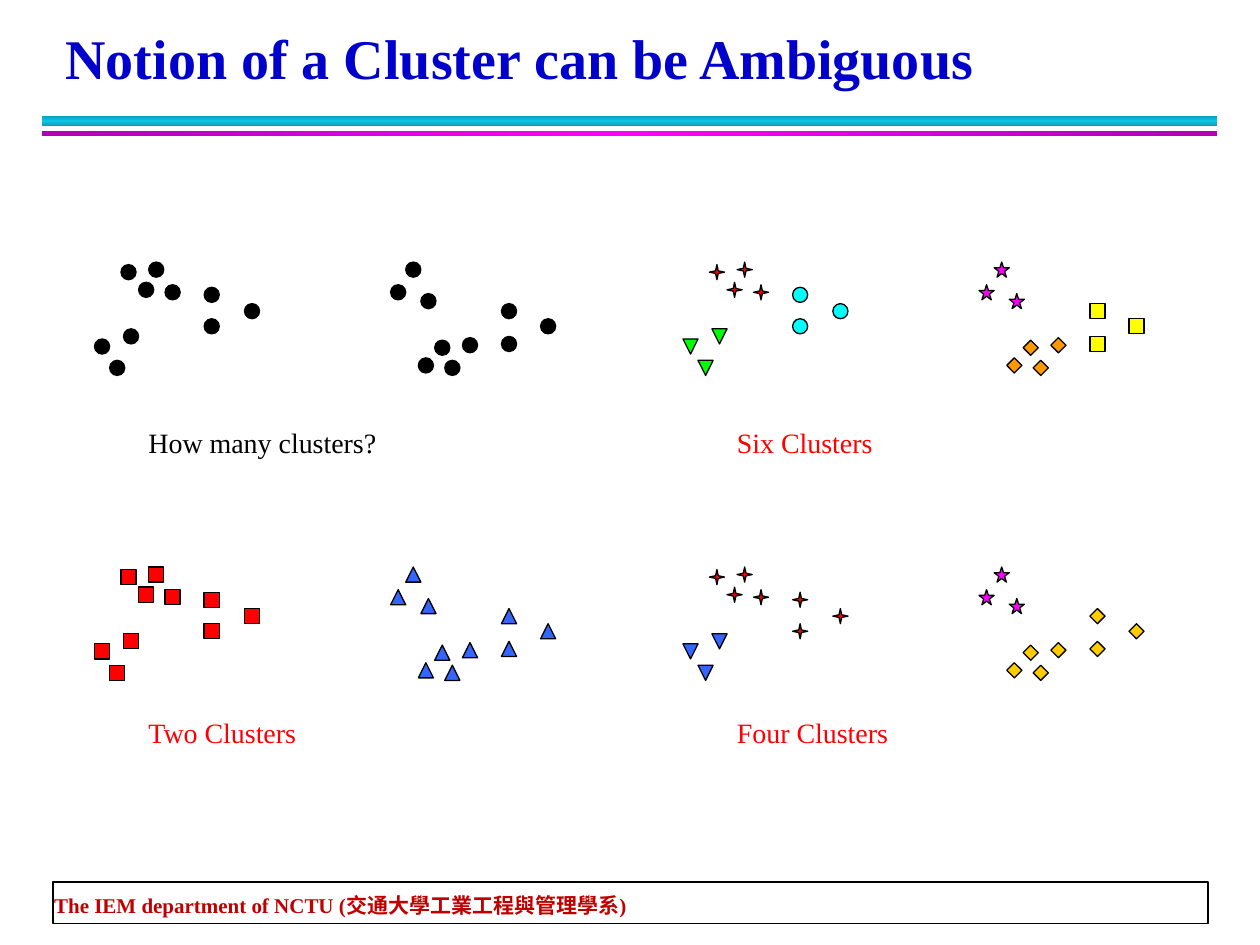
import copy
import dataclasses

import pptx
import pptx.dml.color
import pptx.enum.shapes
import pptx.enum.text
import pptx.oxml.ns
import pptx.util

Inches = pptx.util.Inches
Pt = pptx.util.Pt
SHAPE = pptx.enum.shapes.MSO_SHAPE
ANCHOR = pptx.enum.text.MSO_ANCHOR
AUTO_SIZE = pptx.enum.text.MSO_AUTO_SIZE


def rgb(code):
    return pptx.dml.color.RGBColor.from_string(code)


@dataclasses.dataclass(frozen=True)
class Theme:
    font: str = "Times New Roman"
    title_size: int = 32
    label_size: int = 16
    footer_size: int = 12
    outline: float = 0.75
    frame: float = 1
    title: str = "0000CC"
    footer: str = "C00000"
    black: str = "000000"
    white: str = "FFFFFF"
    red: str = "FF0000"
    blue: str = "3366FF"
    green: str = "00FF00"
    cyan: str = "00FFFF"
    magenta: str = "FF00FF"
    yellow: str = "FFFF00"
    orange: str = "FF9900"
    gold: str = "FFCC00"
    teal_band: tuple = ("0E9BBA", "12C2E9", "0E9BBA")
    purple_band: tuple = ("B200B2", "FF00FF", "B200B2")


@dataclasses.dataclass
class SlideBuilder:
    theme: Theme
    page: object

    def paint(self, shape, fill, width):
        shape.shadow.inherit = False
        shape.fill.solid()
        shape.fill.fore_color.rgb = rgb(fill)
        shape.line.color.rgb = rgb(self.theme.black)
        shape.line.width = Pt(width)

    def shape(self, kind, at, fill, width):
        shape = self.page.shapes.add_shape(kind, *map(Inches, at))
        self.paint(shape, fill, width)
        return shape

    def band(self, at, colors, angle):
        """Draw a borderless bar with a three-stop gradient."""
        bar = self.page.shapes.add_shape(SHAPE.RECTANGLE, *map(Inches, at))
        bar.shadow.inherit = False
        bar.line.fill.background()
        bar.fill.gradient()
        bar.fill.gradient_angle = angle
        stop_list = bar._element.spPr.find(".//" + pptx.oxml.ns.qn("a:gsLst"))
        stop_list.append(copy.deepcopy(stop_list[0]))
        for stop, position, color in zip(bar.fill.gradient_stops, (0, 0.5, 1), colors):
            stop.position = position
            stop.color.rgb = rgb(color)

    def polygon(self, corners, at, fill):
        """Draw a closed outline whose corners are fractions of its box."""
        left, top, width, height = at
        points = [(Inches(left + x * width), Inches(top + y * height)) for x, y in corners]
        builder = self.page.shapes.build_freeform(*points[0])
        builder.add_line_segments(points[1:], close=True)
        self.paint(builder.convert_to_shape(), fill, self.theme.outline)

    def marker(self, form, at, fill):
        if form in OUTLINES:
            self.polygon(OUTLINES[form], at, fill)
            return
        kind, rotation = PRESETS[form]
        self.shape(kind, at, fill, self.theme.outline).rotation = rotation

    def fill_text(self, box, text, size, color, bold=False, spacing=None, **frame_format):
        frame = box.text_frame
        values = {"word_wrap": True, "auto_size": AUTO_SIZE.NONE} | frame_format
        for name, value in values.items():
            setattr(frame, name, value)
        para = frame.paragraphs[0]
        para.alignment = pptx.enum.text.PP_ALIGN.LEFT
        if spacing:
            para.line_spacing = Pt(spacing)
        span = para.add_run()
        span.text = text
        for name, value in {"name": self.theme.font, "size": Pt(size), "bold": bold}.items():
            setattr(span.font, name, value)
        span.font.color.rgb = rgb(color)

    def text(self, at, *content, **formats):
        self.fill_text(self.page.shapes.add_textbox(*map(Inches, at)), *content, **formats)

    def title(self, at, text):
        box = self.page.shapes.title
        for name, value in zip(("left", "top", "width", "height"), at):
            setattr(box, name, Inches(value))
        self.fill_text(box, text, self.theme.title_size, self.theme.title, bold=True,
                       spacing=36, vertical_anchor=ANCHOR.BOTTOM)

    def panel(self, left, top, label, color, styles):
        """Draw the six point sets, each with its (form, fill), and a label below."""
        for points, (form, fill) in zip(POINT_SETS, styles):
            for x, y in points:
                self.marker(form, (left + x, top + y, MARKER, MARKER), fill)
        self.text((left + 1.08, LABEL_TOPS[top], 2.5, 0.37), label,
                  self.theme.label_size, color)


MARKER = 0.12
PANEL_LEFTS = (0, 4.67)
PANEL_TOPS = (2.08, 4.5)
LABEL_TOPS = dict(zip(PANEL_TOPS, (3.33, 5.63)))

PRESETS = {
    "circle": (SHAPE.OVAL, 0),
    "square": (SHAPE.RECTANGLE, 0),
    "diamond": (SHAPE.DIAMOND, 0),
    "triangle": (SHAPE.ISOSCELES_TRIANGLE, 0),
    "triangle down": (SHAPE.ISOSCELES_TRIANGLE, 180),
    "extract down": (SHAPE.FLOWCHART_EXTRACT, 180),
}
OUTLINES = {
    "four-point star": [(0, 0.5), (0.41, 0.59), (0.5, 1), (0.59, 0.59),
                        (1, 0.5), (0.59, 0.41), (0.5, 0), (0.41, 0.41)],
    "five-point star": [(0, 0.38), (0.38, 0.38), (0.5, 0), (0.62, 0.38), (1, 0.38),
                        (0.69, 0.62), (0.81, 1), (0.5, 0.76), (0.19, 1), (0.31, 0.62)],
}
# Marker corners, measured from the left and top of a panel
POINT_SETS = [
    [(3.67, 0.6), (3.32, 0.76), (3.53, 0.78), (3.45, 0.62)],
    [(3.34, 0.25), (3.1, 0.18), (3.22, 0)],
    [(3.98, 0.59), (4.29, 0.45), (3.98, 0.33)],
    [(1.31, 0.18), (0.96, 0.02), (1.18, 0), (1.1, 0.16)],
    [(0.98, 0.53), (0.75, 0.61), (0.87, 0.78)],
    [(1.62, 0.2), (1.94, 0.33), (1.62, 0.45)],
]

deck = pptx.Presentation()
deck.slide_width, deck.slide_height = Inches(10), Inches(7.5)
theme = Theme()
slide = SlideBuilder(theme, deck.slides.add_slide(deck.slide_layouts[5]))

slide.band((0.33, 0.92, 9.33, 0.08), theme.teal_band, 90)
slide.band((0.33, 1.04, 9.33, 0.04), theme.purple_band, 0)
slide.shape(SHAPE.RECTANGLE, (0.42, 7, 9.17, 0.33), theme.white, theme.frame)
margins = dict.fromkeys(("margin_left", "margin_top", "margin_right", "margin_bottom"), 0)
slide.text((0.43, 7, 9.15, 0.28), "The IEM department of NCTU (交通大學工業工程與管理學系)",
           theme.footer_size, theme.footer, bold=True, spacing=20,
           vertical_anchor=ANCHOR.BOTTOM, **margins)
slide.title((0.42, 0.17, 9.06, 0.6), "Notion of a Cluster can be Ambiguous")

left, right = PANEL_LEFTS
upper, lower = PANEL_TOPS
red_star = ("four-point star", theme.red)
magenta_star = ("five-point star", theme.magenta)
gold_diamond = ("diamond", theme.gold)

slide.panel(left, upper, "How many clusters?", theme.black, [("circle", theme.black)] * 6)
slide.panel(right, lower, "Four Clusters", theme.red,
            [gold_diamond, magenta_star, gold_diamond,
             red_star, ("extract down", theme.blue), red_star])
slide.panel(left, lower, "Two Clusters", theme.red,
            [("triangle", theme.blue)] * 3 + [("square", theme.red)] * 3)
slide.panel(right, upper, "Six Clusters", theme.red,
            [("diamond", theme.orange), magenta_star, ("square", theme.yellow),
             red_star, ("triangle down", theme.green), ("circle", theme.cyan)])

deck.save("out.pptx")
